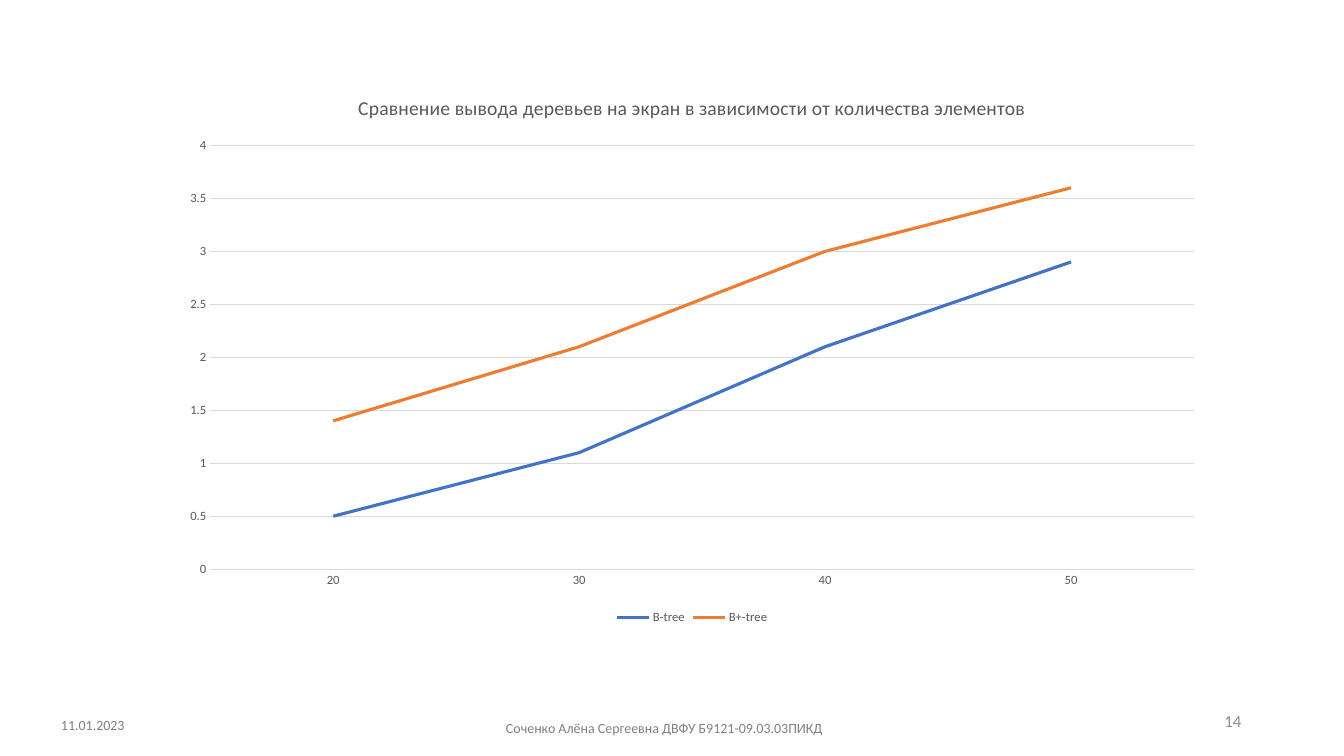
from pptx import Presentation
from pptx import util as u
from pptx.chart.data import CategoryChartData
from pptx.dml.color import RGBColor
from pptx.enum import chart as ch, text

FONT = "Calibri"
COLORS = {
    "footer": "808080",
    "number": "8C8C8C",
    "label": "595959",
    "grid": "D9D9D9",
    "B-tree": "4472C4",
    "B+-tree": "ED7D31",
}
TIMES = {
    "B-tree": (0.5, 1.1, 2.1, 2.9),
    "B+-tree": (1.4, 2.1, 3, 3.6),
}
ELEMENT_COUNTS = ("20", "30", "40", "50")
TITLE = "Сравнение вывода деревьев на экран в зависимости от количества элементов"


def style_font(font, size, color):
    font.name = FONT
    font.size = u.Pt(size)
    font.bold = False
    font.color.rgb = RGBColor.from_string(COLORS[color])


def style_line(line, color, width):
    line.color.rgb = RGBColor.from_string(COLORS[color])
    line.width = u.Pt(width)


def add_caption(slide, box, words, size, color, align, anchor):
    frame = slide.shapes.add_textbox(*map(u.Inches, box)).text_frame
    frame.word_wrap = True
    frame.vertical_anchor = anchor
    frame.text = words
    caption = frame.paragraphs[0]
    caption.alignment = align
    style_font(caption.runs[0].font, size, color)
    return caption


def add_footer(slide, box):
    left, top, width, height = box
    align, anchor = text.PP_ALIGN, text.MSO_ANCHOR
    date = add_caption(slide, (left, top + 0.17, 0.92, 0.06), "11.01.2023",
                       10, "footer", align.CENTER, anchor.TOP)
    author = add_caption(slide, (left + 4.46, top + 0.16, 3.49, 0.39),
                         "Соченко Алёна Сергеевна ДВФУ Б9121-09.03.03ПИКД",
                         10, "footer", align.LEFT, anchor.TOP)
    for caption in (date, author):
        caption.line_spacing = 0.9
        caption.space_before = u.Pt(10)
    add_caption(slide, (left + width - 3, top, 3, height), "14",
                12, "number", align.RIGHT, anchor.MIDDLE)


def add_comparison(slide, box):
    data = CategoryChartData()
    data.categories = ELEMENT_COUNTS
    for tree, times in TIMES.items():
        data.add_series(tree, times)
    comparison = slide.shapes.add_chart(
        ch.XL_CHART_TYPE.LINE, *map(u.Inches, box), data).chart
    comparison.font.name = FONT
    comparison.font.size = u.Pt(10)

    comparison.has_title = True
    heading = comparison.chart_title.text_frame
    heading.text = TITLE
    style_font(heading.paragraphs[0].runs[0].font, 14, "label")
    comparison.chart_title.include_in_layout = False

    comparison.has_legend = True
    comparison.legend.position = ch.XL_LEGEND_POSITION.BOTTOM
    comparison.legend.include_in_layout = False
    style_font(comparison.legend.font, 9, "label")

    counts, seconds = comparison.category_axis, comparison.value_axis
    for axis in (counts, seconds):
        axis.major_tick_mark = axis.minor_tick_mark = ch.XL_TICK_MARK.NONE
        style_font(axis.tick_labels.font, 9, "label")
    style_line(counts.format.line, "grid", 0.75)
    seconds.format.line.fill.background()
    seconds.has_major_gridlines = True
    style_line(seconds.major_gridlines.format.line, "grid", 0.75)
    seconds.minimum_scale, seconds.maximum_scale = 0, 4
    seconds.major_unit = 0.5

    comparison.plots[0].vary_by_categories = False
    for tree in comparison.plots[0].series:
        tree.smooth = False
        tree.marker.style = ch.XL_MARKER_STYLE.NONE
        style_line(tree.format.line, tree.name, 2.25)
        tree.format.line.width = u.Pt(2.25)


def main():
    deck = Presentation()
    deck.slide_width, deck.slide_height = u.Inches(13.33), u.Inches(7.5)
    slide = deck.slides.add_slide(deck.slide_layouts[6])
    add_footer(slide, (0.46, 6.95, 11.95, 0.4))
    add_comparison(slide, (1.68, 0.74, 10.37, 5.5))
    deck.save("out.pptx")


if __name__ == "__main__":
    main()
